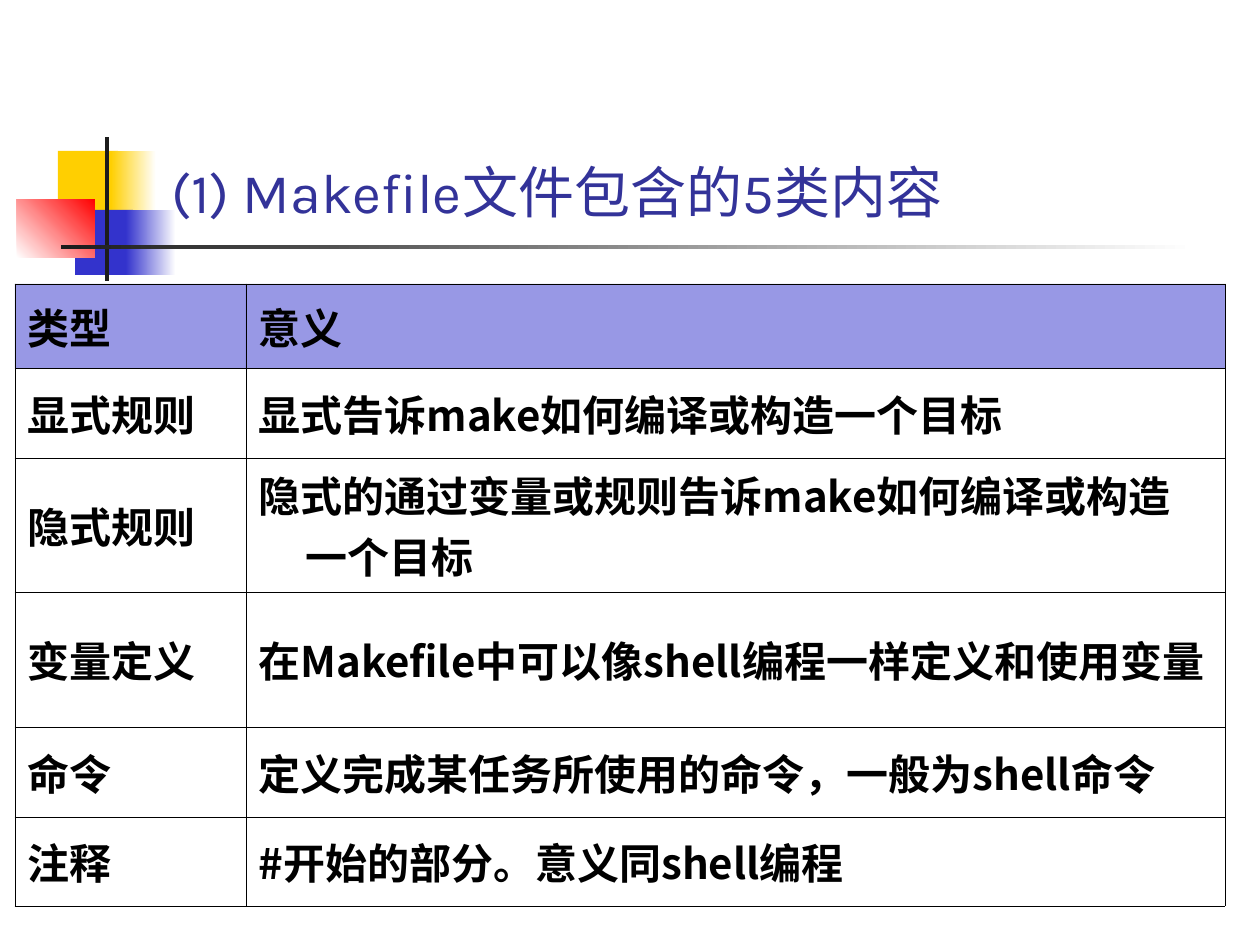
from dataclasses import dataclass

from lxml import etree
from pptx import Presentation
from pptx import util as u
from pptx.dml.color import RGBColor
from pptx.enum import shapes, text
from pptx.oxml.ns import qn

SCALE = u.Inches(1) / 126


def px(n):
    return u.Emu(round(n * SCALE))


@dataclass(frozen=True)
class Theme:
    gold: str = "FFCF01"
    blue: str = "3333CC"
    red: str = "FF0000"
    dark: str = "1C1C1C"
    white: str = "FFFFFF"
    black: str = "000000"
    navy: str = "333399"
    head: int = 32
    body: int = 24
    rule: float = 0.45
    latin: str = "Karla"
    asian: str = "Noto Sans CJK SC"


class Deck:
    def __init__(self, theme):
        self.theme = theme
        self.file = Presentation()
        self.file.slide_width, self.file.slide_height = px(1260), px(945)
        self.slide = self.file.slides.add_slide(self.file.slide_layouts[6])

    def block(self, box, *tones, angle=0):
        item = self.slide.shapes.add_shape(
            shapes.MSO_SHAPE.RECTANGLE, *map(px, box))
        item.shadow.inherit = False
        item.line.fill.background()
        if len(tones) == 1:
            item.fill.solid()
            item.fill.fore_color.rgb = RGBColor.from_string(tones[0])
            return
        item.fill.gradient()
        item.fill.gradient_angle = angle
        for stop, tone, spot in zip(item.fill.gradient_stops, tones, (0, 1)):
            stop.color.rgb = RGBColor.from_string(tone)
            stop.position = spot

    def run(self, para, words, size, tone, face, bold=False):
        run = para.add_run()
        run.text = words
        font = run.font
        font.size, font.name, font.bold = u.Pt(size), face, bold
        font.color.rgb = RGBColor.from_string(tone)
        asian = etree.SubElement(run._r.get_or_add_rPr(), qn("a:ea"))
        asian.set("typeface", self.theme.asian)

    def title(self, box, words):
        frame = self.slide.shapes.add_textbox(*map(px, box)).text_frame
        frame.word_wrap = True
        frame.vertical_anchor = text.MSO_ANCHOR.BOTTOM
        look = self.theme
        self.run(frame.paragraphs[0], words, look.head, look.navy, look.latin)

    def edge(self, cell):
        props = cell._tc.get_or_add_tcPr()
        for side in "LRTB":
            line = etree.SubElement(props, qn(f"a:ln{side}"))
            line.set("w", str(u.Pt(self.theme.rule)))
            fill = etree.SubElement(line, qn("a:solidFill"))
            etree.SubElement(fill, qn("a:srgbClr")).set("val", self.theme.black)

    def tint(self, cell, tone, share):
        cell.fill.solid()
        cell.fill.fore_color.rgb = RGBColor.from_string(tone)
        shade = cell._tc.tcPr.find(qn("a:solidFill")).find(qn("a:srgbClr"))
        etree.SubElement(shade, qn("a:alpha")).set("val", str(share * 1000))

    def cell(self, cell, words, head):
        look = self.theme
        cell.vertical_anchor = text.MSO_ANCHOR.MIDDLE
        para = cell.text_frame.paragraphs[0]
        props = para._p.get_or_add_pPr()
        props.set("marL", str(px(47)))
        props.set("indent", str(-px(47)))
        self.run(para, words, look.body, look.black, look.asian, True)
        self.edge(cell)
        if head:
            self.tint(cell, look.blue, 50)
        else:
            cell.fill.background()

    def table(self, left, top, cols, rows, data):
        grid = self.slide.shapes.add_table(
            len(rows), len(cols), px(left), px(top),
            px(sum(cols)), px(sum(rows))).table
        grid.horz_banding = grid.first_row = False
        for col, wide in zip(grid.columns, cols):
            col.width = px(wide)
        for row, high, line in zip(grid.rows, rows, data):
            row.height = px(high)
            for cell, words in zip(row.cells, line):
                self.cell(cell, words, line is data[0])


def main():
    look = Theme()
    deck = Deck(look)
    deck.block((58, 151, 60, 66), look.gold)
    deck.block((111, 151, 45, 66), look.gold, look.white)
    deck.block((75, 210, 58, 65), look.blue)
    deck.block((126, 210, 50, 65), look.blue, look.white)
    deck.block((17, 199, 78, 59), look.white, look.red, angle=45)
    deck.block((105, 137, 4, 144), look.dark)
    deck.block((61, 245, 1134, 4), look.dark, look.white)
    deck.title((159, 29, 1074, 202), "(1) Makefile文件包含的5类内容")
    data = [
        ("类型", "意义"),
        ("显式规则", "显式告诉make如何编译或构造一个目标"),
        ("隐式规则", "隐式的通过变量或规则告诉make如何编译或构造一个目标"),
        ("变量定义", "在Makefile中可以像shell编程一样定义和使用变量"),
        ("命令", "定义完成某任务所使用的命令，一般为shell命令"),
        ("注释", "#开始的部分。意义同shell编程"),
    ]
    deck.table(15, 284, (231, 979), (84, 90, 134, 135, 90, 89), data)
    deck.file.save("out.pptx")


if __name__ == "__main__":
    main()
